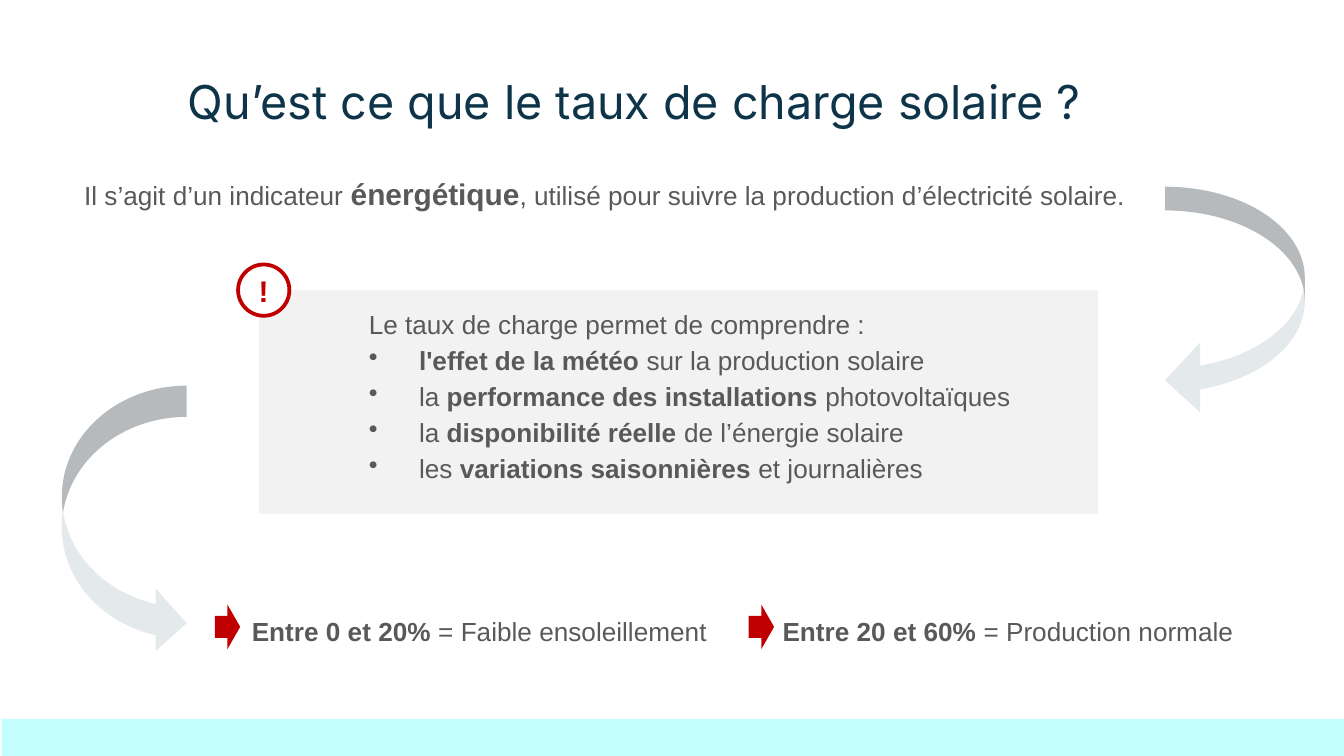
from pptx import Presentation
from pptx.dml.color import RGBColor
from pptx.enum.shapes import MSO_SHAPE
from pptx.enum.text import MSO_ANCHOR, MSO_AUTO_SIZE, PP_ALIGN
from pptx.oxml.ns import qn
from pptx.util import Cm, Pt
from lxml import etree

RECT, OVAL = MSO_SHAPE.RECTANGLE, MSO_SHAPE.OVAL
ARROW = MSO_SHAPE.RIGHT_ARROW
CURVE_R, CURVE_L = MSO_SHAPE.CURVED_RIGHT_ARROW, MSO_SHAPE.CURVED_LEFT_ARROW
LEFT, CENTER = PP_ALIGN.LEFT, PP_ALIGN.CENTER
TOP, MIDDLE = MSO_ANCHOR.TOP, MSO_ANCHOR.MIDDLE
NO_FIT = MSO_AUTO_SIZE.NONE

COLORS = {"navy": "0E3449", "gray": "595959", "panel": "F2F2F2", "band": "C3FFFC",
          "curve": "E4E9EB", "red": "C00000", "white": "FFFFFF"}
INDENT = 0.32
HANG = 0.95


def rgb(name):
    return RGBColor.from_string(COLORS[name])


def write(shape, *lines, size=14, bold_size=None, font="Arial", color="gray",
          align=LEFT, anchor=TOP, pad=0.25, indent=INDENT, spacing=1.15):
    """Fill a shape with lines: *stars* mark bold, a leading • makes a list item."""
    frame = shape.text_frame
    frame.word_wrap = True
    frame.auto_size = NO_FIT
    frame.vertical_anchor = anchor
    frame.margin_left = frame.margin_right = Cm(pad)
    frame.margin_top = frame.margin_bottom = Cm(pad)
    for i, line in enumerate(lines):
        para = frame.paragraphs[0] if i == 0 else frame.add_paragraph()
        item = line.startswith("•")
        hang = HANG if item else 0
        props = para._p.get_or_add_pPr()
        props.set("marL", str(Cm(indent + hang)))
        props.set("indent", str(-Cm(hang)))
        if item:
            etree.SubElement(props, qn("a:buChar")).set("char", "•")
        else:
            etree.SubElement(props, qn("a:buNone"))
        para.alignment = align
        para.line_spacing = spacing
        para.space_before = Pt(0)
        for j, part in enumerate(line.lstrip("•").split("*")):
            if not part:
                continue
            bold = j % 2 == 1
            run = para.add_run()
            run.text = part
            run.font.name = font
            run.font.size = Pt(bold_size if bold and bold_size else size)
            run.font.bold = bold
            run.font.color.rgb = rgb(color)


prs = Presentation()
prs.slide_width, prs.slide_height = Cm(25.4), Cm(14.29)
slide = prs.slides.add_slide(prs.slide_layouts[1])
shapes = slide.shapes

# Title and lead sentence
title, body = shapes.title, slide.placeholders[1]
for holder, box in ((title, (3.3, 1.12, 19.33, 1.47)), (body, (1.02, 2.97, 21.64, 1.17))):
    holder.left, holder.top, holder.width, holder.height = map(Cm, box)
write(title, "Qu’est ce que le taux de charge solaire ?",
      size=25, font="Inter", color="navy", indent=0, spacing=1)
write(body, "Il s’agit d’un indicateur *énergétique*, utilisé pour suivre "
      "la production d’électricité solaire.", bold_size=16)

# Panel, footer band, arrows and badge
drawn = {}
for name, kind, box, fill in (
        ("panel", RECT, (4.9, 5.49, 15.85, 4.22), "panel"),
        ("band", RECT, (0.03, 13.59, 25.37, 0.7), "band"),
        ("left", CURVE_R, (1.17, 7.29, 2.36, 5.08), "curve"),
        ("right", CURVE_L, (22.02, 3.53, 2.64, 4.32), "curve"),
        ("badge", OVAL, (4.5, 5, 0.97, 0.97), "white"),
        ("low", ARROW, (4.06, 11.43, 0.48, 0.84), "red"),
        ("normal", ARROW, (14.15, 11.43, 0.48, 0.84), "red")):
    shape = shapes.add_shape(kind, *map(Cm, box))
    shape.shadow.inherit = False
    shape.fill.solid()
    shape.fill.fore_color.rgb = rgb(fill)
    shape.line.fill.background()
    drawn[name] = shape

drawn["right"].adjustments[0] = 0.17
badge = drawn["badge"]
badge.line.color.rgb = rgb("red")
badge.line.width = Pt(2)
write(badge, "*!*", size=16, color="red", align=CENTER, anchor=MIDDLE,
      pad=0, indent=0, spacing=1)

# Text on the panel
write(shapes.add_textbox(Cm(6.4), Cm(5.49), Cm(12.98), Cm(4.09)),
      "Le taux de charge permet de comprendre :",
      "•*l'effet de la météo* sur la production solaire",
      "•la *performance des installations* photovoltaïques",
      "•la *disponibilité réelle* de l’énergie solaire",
      "•les *variations saisonnières* et journalières")

# Ranges
for left, text in ((4.19, "*Entre 0 et 20%* = Faible ensoleillement"),
                   (14.22, "*Entre 20 et 60%* = Production normale")):
    write(shapes.add_textbox(Cm(left), Cm(11.3), Cm(10.21), Cm(1.07)), text)

prs.save("out.pptx")
